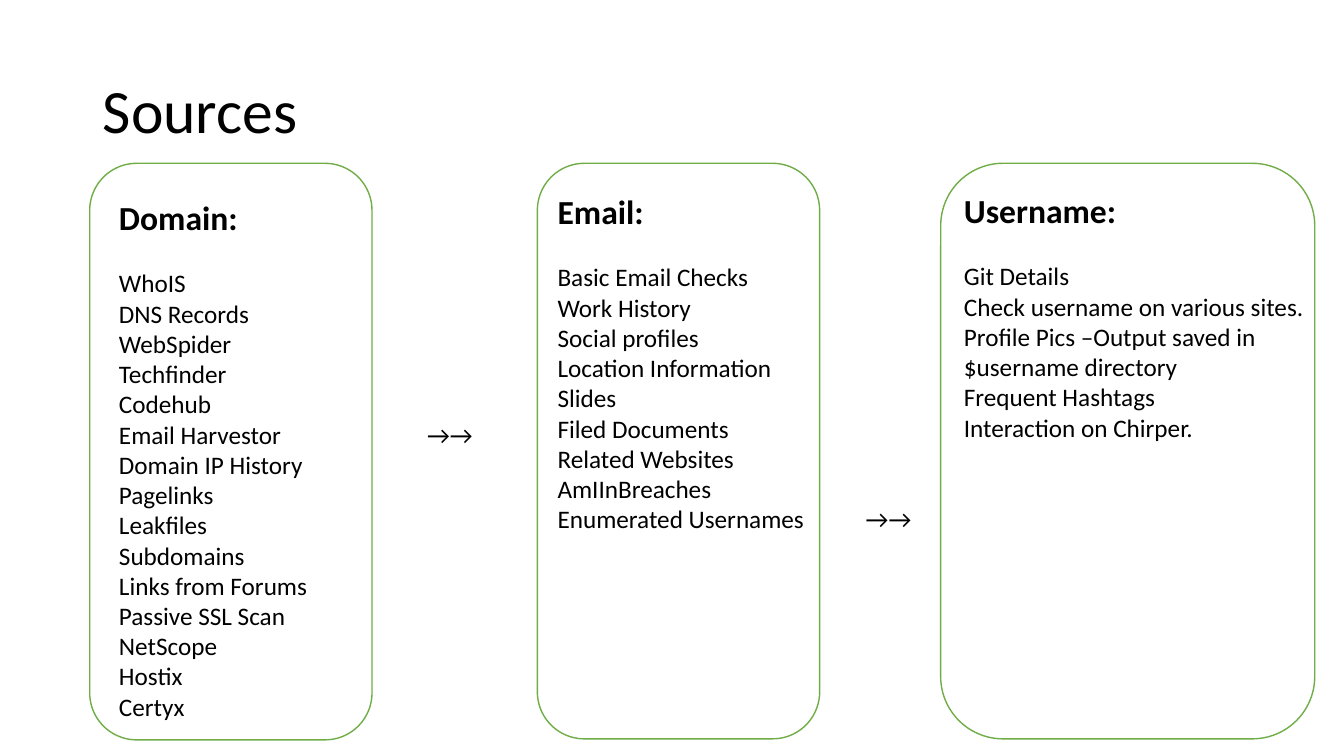
"""Build the slide that lists information sources in three linked panels."""
from dataclasses import dataclass

import lxml.etree
import pptx
import pptx.dml.color
import pptx.enum.shapes
import pptx.enum.text
import pptx.oxml.ns
import pptx.util

Inches = pptx.util.Inches
ARROWS = " →→"

COLUMNS = [
    {
        "panel": (0.89, 1.62, 2.8, 5.72),
        "text": (1.08, 1.9, 4.21, 5.65),
        "heading": "Domain:",
        "items": [
            "WhoIS", "DNS Records", "WebSpider", "Techfinder", "Codehub",
            "Email Harvestor\t\t\t" + ARROWS, "Domain IP History",
            "Pagelinks", "Leakfiles", "Subdomains", "Links from Forums",
            "Passive SSL Scan", "NetScope", "Hostix", "Certyx",
        ],
    },
    {
        "panel": (5.33, 1.62, 2.8, 5.71),
        "text": (5.43, 1.84, 3.87, 3.84),
        "heading": "Email:",
        "items": [
            "Basic Email Checks", "Work History", "Social profiles",
            "Location Information", "Slides", "Filed Documents",
            "Related Websites", "AmIInBreaches",
            "Enumerated Usernames\t\t" + ARROWS,
        ],
    },
    {
        "panel": (9.33, 1.62, 3.71, 5.71),
        "text": (9.46, 1.83, 3.87, 2.63),
        "heading": "Username:",
        "items": [
            "Git Details", "Check username on various sites.",
            "Profile Pics –Output saved in $username directory",
            "Frequent Hashtags", "Interaction on Chirper.",
        ],
    },
]


@dataclass(frozen=True)
class Theme:
    """Colours, type sizes and spacing of the slide."""

    font: str = "Calibri"
    ink: str = "000000"
    paper: str = "FFFFFF"
    outline: str = "70AD47"
    title_size: int = 44
    heading_size: int = 24
    item_size: int = 18
    heading_gap: int = 22


class SlideBuilder:
    """Draws styled elements on the current slide."""

    def __init__(self, slide, theme):
        """Keep the slide and its theme."""
        self.slide = slide
        self.theme = theme

    def colour(self, value):
        """Turn a hex value into a colour."""
        return pptx.dml.color.RGBColor.from_string(value)

    def place(self, shape, box):
        """Move and size a shape in inches."""
        shape.left, shape.top, shape.width, shape.height = map(Inches, box)

    def add_run(self, paragraph, text, size, bold=False):
        """Add one styled run to a paragraph."""
        run = paragraph.add_run()
        run.text = text
        run.font.name = self.theme.font
        run.font.size = pptx.util.Pt(size)
        run.font.bold = bold
        run.font.color.rgb = self.colour(self.theme.ink)

    def title(self, text, box):
        """Fill the title placeholder."""
        shape = self.slide.shapes.title
        self.place(shape, box)
        shape.text_frame.vertical_anchor = pptx.enum.text.MSO_ANCHOR.MIDDLE
        paragraph = shape.text_frame.paragraphs[0]
        paragraph.alignment = pptx.enum.text.PP_ALIGN.LEFT
        paragraph.line_spacing = 0.9
        self.add_run(paragraph, text, self.theme.title_size)

    def panel(self, box):
        """Draw a rounded panel behind the text."""
        shape = self.slide.shapes.add_shape(
            pptx.enum.shapes.MSO_SHAPE.ROUNDED_RECTANGLE, *map(Inches, box))
        shape.shadow.inherit = False
        shape.fill.solid()
        shape.fill.fore_color.rgb = self.colour(self.theme.paper)
        shape.line.color.rgb = self.colour(self.theme.outline)
        shape.line.width = pptx.util.Pt(1)
        self.slide.shapes.title.element.addprevious(shape.element)

    def format_list_paragraph(self, paragraph):
        """Remove the bullet, indent and spacing of a list paragraph."""
        properties = paragraph._p.get_or_add_pPr()
        properties.set("marL", "0")
        properties.set("indent", "0")
        lxml.etree.SubElement(properties, pptx.oxml.ns.qn("a:buNone"))
        paragraph.alignment = pptx.enum.text.PP_ALIGN.LEFT
        paragraph.space_before = pptx.util.Pt(0)
        paragraph.space_after = pptx.util.Pt(0)

    def source_list(self, placeholder, box, heading, items):
        """Fill a body placeholder with a heading and its items."""
        self.place(placeholder, box)
        frame = placeholder.text_frame
        frame.word_wrap = True
        frame.auto_size = pptx.enum.text.MSO_AUTO_SIZE.NONE
        frame.vertical_anchor = pptx.enum.text.MSO_ANCHOR.TOP
        paragraph = frame.paragraphs[0]
        self.format_list_paragraph(paragraph)
        paragraph.space_after = pptx.util.Pt(self.theme.heading_gap)
        self.add_run(paragraph, heading, self.theme.heading_size, bold=True)
        for item in items:
            paragraph = frame.add_paragraph()
            self.format_list_paragraph(paragraph)
            self.add_run(paragraph, item, self.theme.item_size)


def main():
    """Build and save the presentation."""
    presentation = pptx.Presentation()
    presentation.slide_width = Inches(13.33)
    presentation.slide_height = Inches(7.5)
    layout = presentation.slide_layouts.get_by_name("Comparison")
    slide = presentation.slides.add_slide(layout)
    builder = SlideBuilder(slide, Theme())
    builder.title("Sources", (0.92, 0.4, 11.5, 1.45))
    bodies = list(slide.placeholders)[1:]
    for column, body in zip(COLUMNS, bodies):
        builder.panel(column["panel"])
        builder.source_list(
            body, column["text"], column["heading"], column["items"])
    for unused in bodies[len(COLUMNS):]:
        unused.element.getparent().remove(unused.element)
    presentation.save("out.pptx")


if __name__ == "__main__":
    main()
